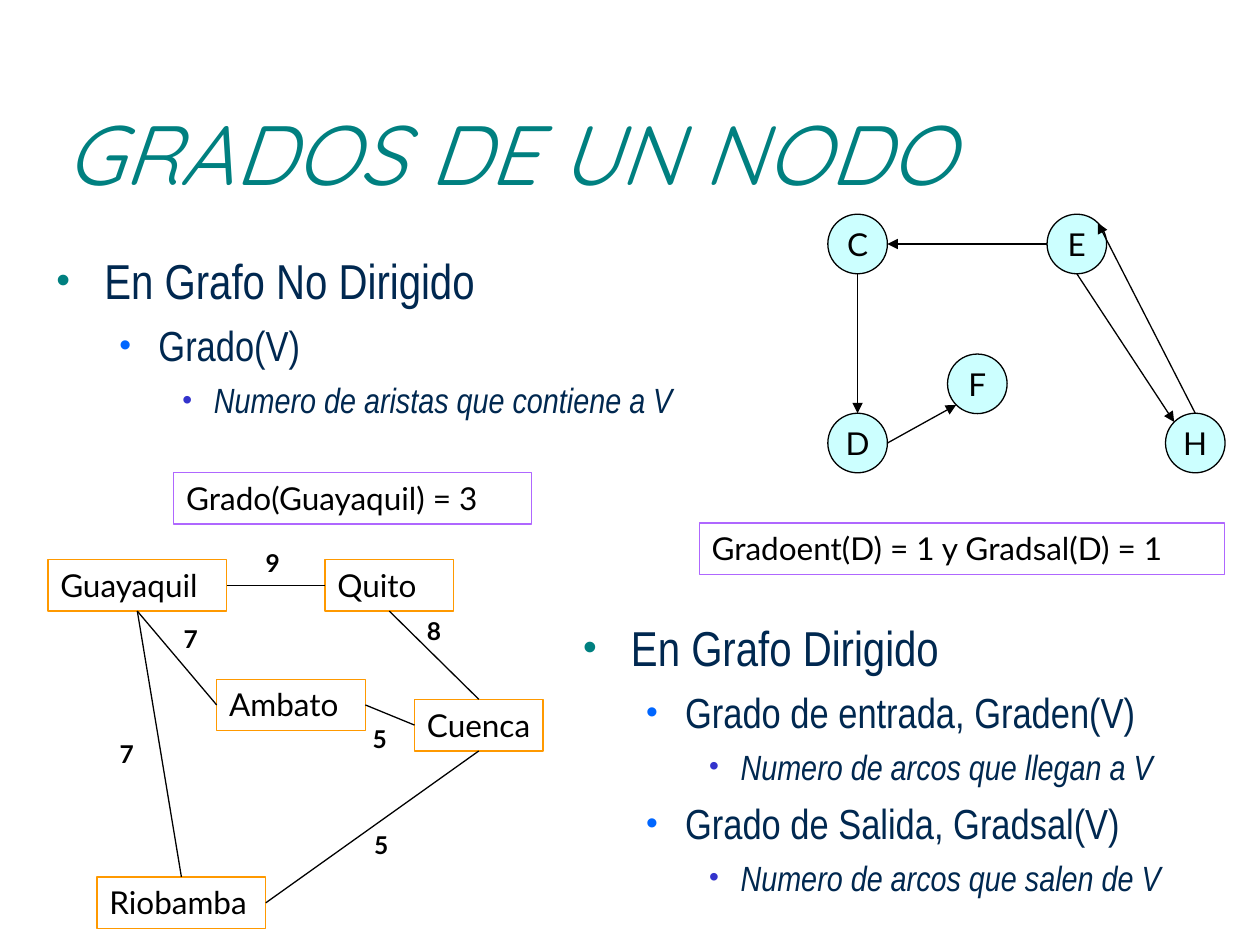
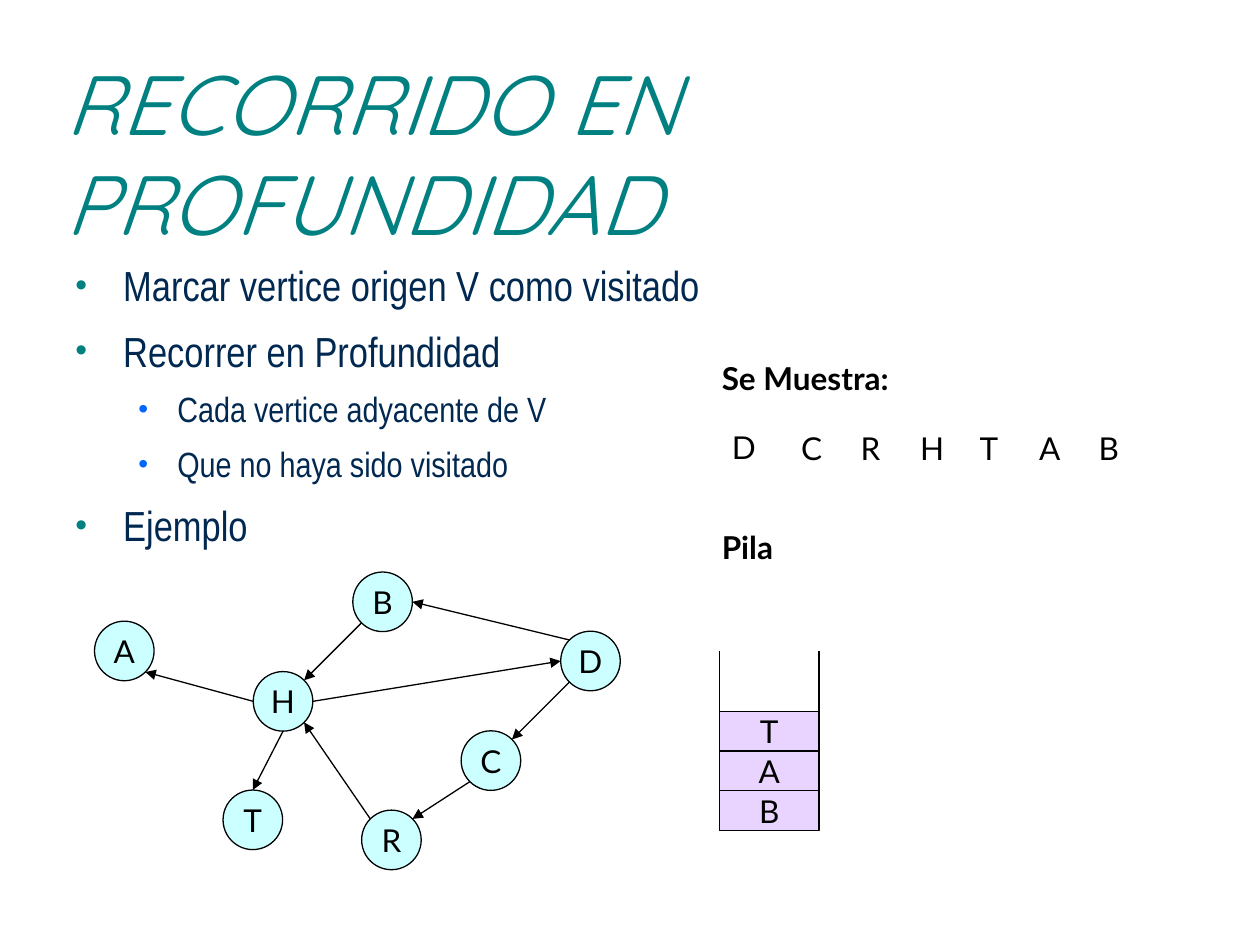
from lxml import etree
from pptx import Presentation
from pptx import util as u
from pptx.dml.color import RGBColor
from pptx.enum import shapes, text
from pptx.oxml.ns import qn

# Shared grid: 100 columns by 75 rows on a 10 x 7.5 inch slide
COLUMNS, ROWS = 100, 75
CELL = u.Inches(10) // COLUMNS
NODE_SIZE = 4.73

# Shared colours and fonts
TEAL = RGBColor(0x00, 0x80, 0x80)
NAVY = RGBColor(0x00, 0x28, 0x50)
BLUE = RGBColor(0x00, 0x66, 0xFF)
INDIGO = RGBColor(0x33, 0x33, 0xCC)
BLACK = RGBColor(0x00, 0x00, 0x00)
WHITE = RGBColor(0xFF, 0xFF, 0xFF)
CYAN = RGBColor(0xCC, 0xFF, 0xFF)
LILAC = RGBColor(0xE9, 0xD3, 0xFF)
ORANGE = RGBColor(0xFF, 0x99, 0x00)
PURPLE = RGBColor(0xAF, 0x67, 0xFF)
TITLE_FONT, BODY_FONT, LABEL_FONT = "Quicksand", "Arial Narrow", "Lato"

# Outline levels: bullet colour, left margin and hanging indent in inches
LEVELS = [(TEAL, 0.38, 0.38), (BLUE, 0.81, 0.31), (INDIGO, 1.25, 0.25)]

# Compass points on a shape's edge, as shares of its half width and height
DIAGONAL = 0.5 ** 0.5
SITES = {"N": (0, -1), "S": (0, 1), "W": (-1, 0), "E": (1, 0)}
SITES.update({v + h: (SITES[h][0] * DIAGONAL, SITES[v][1] * DIAGONAL)
              for v in "NS" for h in "WE"})


def cells(*values):
    return [round(value * CELL) for value in values]


def add_run(paragraph, words, size, font=LABEL_FONT, color=BLACK, bold=False, italic=False):
    run = paragraph.add_run()
    run.text = words
    run.font.size = u.Pt(size)
    run.font.name = font
    run.font.color.rgb = color
    run.font.bold = bold
    run.font.italic = italic


def add_text_box(slide, box):
    frame = slide.shapes.add_textbox(*cells(*box)).text_frame
    frame.word_wrap = True
    return frame


def add_title(slide, words):
    frame = add_text_box(slide, (4.2, 5.8, 90, 12.5))
    frame.vertical_anchor = text.MSO_ANCHOR.MIDDLE
    add_run(frame.paragraphs[0], words, 48, TITLE_FONT, TEAL, italic=True)


def add_label(slide, words, left, top, width=3.9, height=4, size=18, bold=False):
    frame = add_text_box(slide, (left, top, width, height))
    add_run(frame.paragraphs[0], words, size, bold=bold)


def set_bullet(paragraph, level):
    color, margin, hanging = LEVELS[level]
    properties = paragraph._p.get_or_add_pPr()
    properties.set("marL", str(u.Inches(margin)))
    properties.set("indent", str(-u.Inches(hanging)))
    bullet_color = etree.SubElement(properties, qn("a:buClr"))
    etree.SubElement(bullet_color, qn("a:srgbClr"), val=str(color))
    etree.SubElement(properties, qn("a:buSzPct"), val="80000")
    etree.SubElement(properties, qn("a:buFont"), typeface="Arial")
    etree.SubElement(properties, qn("a:buChar"), char="•")


def add_outline(slide, box, sizes, items, line_spacing=1.0):
    """Bulleted outline; the third level is italic."""
    frame = add_text_box(slide, box)
    for index, (level, words) in enumerate(items):
        paragraph = frame.add_paragraph() if index else frame.paragraphs[0]
        paragraph.level = level
        paragraph.line_spacing = line_spacing
        if index:
            paragraph.space_before = u.Pt(round(sizes[level] * 0.24, 1))
        set_bullet(paragraph, level)
        add_run(paragraph, words, sizes[level], BODY_FONT, NAVY, italic=level == 2)


def add_box(slide, kind, words, box, line, fill=None, centred=False):
    shape = slide.shapes.add_shape(kind, *cells(*box))
    shape.shadow.inherit = False
    if fill is None:
        shape.fill.background()
    else:
        shape.fill.solid()
        shape.fill.fore_color.rgb = fill
    shape.line.color.rgb = line
    shape.line.width = u.Pt(0.75)
    frame = shape.text_frame
    frame.word_wrap = not centred
    frame.vertical_anchor = text.MSO_ANCHOR.MIDDLE if centred else text.MSO_ANCHOR.TOP
    paragraph = frame.paragraphs[0]
    paragraph.alignment = text.PP_ALIGN.CENTER if centred else text.PP_ALIGN.LEFT
    add_run(paragraph, words, 18)
    return shape


def add_frame(slide, words, left, top, width, line, fill=None):
    return add_box(slide, shapes.MSO_SHAPE.RECTANGLE, words,
                   (left, top, width, 4.1), line, fill)


def add_line(slide, start, end, arrow=False):
    connector = slide.shapes.add_connector(shapes.MSO_CONNECTOR.STRAIGHT, *start, *end)
    connector.line.color.rgb = BLACK
    connector.line.width = u.Pt(0.75)
    if arrow:
        etree.SubElement(connector.line._get_or_add_ln(), qn("a:tailEnd"), type="triangle")
    etree.SubElement(connector._element.spPr, qn("a:effectLst"))


def site(shape, name):
    across, down = SITES[name]
    return (round(shape.left + shape.width * (1 + across) / 2),
            round(shape.top + shape.height * (1 + down) / 2))


def add_edges(slide, nodes, edges, arrow):
    for origin, leaving, target, arriving in edges:
        add_line(slide, site(nodes[origin], leaving), site(nodes[target], arriving), arrow)


def add_directed_graph(slide, places, edges):
    nodes = {name: add_box(slide, shapes.MSO_SHAPE.OVAL, name,
                           (left, top, NODE_SIZE, NODE_SIZE), BLACK, CYAN, centred=True)
             for name, (left, top) in places.items()}
    add_edges(slide, nodes, edges, arrow=True)


def add_city_graph(slide):
    cities = {name: add_frame(slide, name, *place, ORANGE, fill) for name, place, fill in [
        ("Guayaquil", (3.8, 44.4, 14.2), None),
        ("Quito", (25.8, 44.4, 10.2), None),
        ("Cuenca", (32.9, 55.5, 10.2), None),
        ("Ambato", (17.2, 53.9, 11.8), None),
        ("Riobamba", (7.7, 69.6, 13.4), WHITE)]}
    add_edges(slide, cities, [
        ("Guayaquil", "E", "Quito", "W"), ("Guayaquil", "S", "Riobamba", "N"),
        ("Guayaquil", "S", "Ambato", "W"), ("Ambato", "E", "Cuenca", "W"),
        ("Riobamba", "E", "Cuenca", "S"), ("Cuenca", "N", "Quito", "S")], arrow=False)
    for weight, left, top in [("5", 28.7, 65.4), ("5", 28.6, 57), ("7", 13.6, 49),
                              ("9", 20.1, 43), ("8", 32.9, 48.4), ("7", 8.5, 58.2)]:
        add_label(slide, weight, left, top, height=3.3, size=14, bold=True)


def add_stack(slide, letters, left, top, width, bottom, row):
    """Open-topped container, filled from the bottom up."""
    right = left + width
    corners = [cells(*corner) for corner in
               [(left, top), (left, bottom), (right, bottom), (right, top)]]
    for start, end in zip(corners, corners[1:]):
        add_line(slide, start, end)
    for index, letter in enumerate(letters, 1):
        add_box(slide, shapes.MSO_SHAPE.RECTANGLE, letter,
                (left, bottom - index * row, width, row), BLACK, LILAC, centred=True)


def build_degrees(slide):
    add_title(slide, "GRADOS DE UN NODO")
    sizes = (28, 24, 20)
    add_outline(slide, (3.5, 19.4, 60.7, 16.2), sizes, [
        (0, "En Grafo No Dirigido"),
        (1, "Grado(V)"),
        (2, "Numero de aristas que contiene a V")])
    add_outline(slide, (45.3, 48.5, 52.4, 20.5), sizes, [
        (0, "En Grafo Dirigido"),
        (1, "Grado de entrada, Graden(V)"),
        (2, "Numero de arcos que llegan a V"),
        (1, "Grado de Salida, Gradsal(V)"),
        (2, "Numero de arcos que salen de V")])
    add_directed_graph(
        slide,
        {"C": (65.7, 17), "E": (83.1, 17), "D": (65.7, 32.8), "F": (75.2, 28.1),
         "H": (92.5, 32.8)},
        [("E", "W", "C", "E"), ("C", "S", "D", "N"), ("D", "E", "F", "SW"),
         ("E", "S", "H", "NW"), ("H", "N", "E", "NE")])
    add_city_graph(slide)
    add_frame(slide, "Gradoent(D) = 1 y Gradsal(D) = 1", 55.5, 41.5, 41.7, PURPLE)
    add_frame(slide, "Grado(Guayaquil) = 3", 13.8, 37.5, 28.4, PURPLE)


def build_depth_first(slide):
    add_title(slide, "RECORRIDO EN PROFUNDIDAD")
    add_outline(slide, (5, 19.7, 90, 49.5), (24, 20), [
        (0, "Marcar vertice origen V como visitado"),
        (0, "Recorrer en Profundidad"),
        (1, "Cada vertice adyacente de V"),
        (1, "Que no haya sido visitado"),
        (0, "Ejemplo")], line_spacing=1.1)
    add_directed_graph(
        slide,
        {"A": (7.5, 49.3), "T": (17.7, 62.7), "H": (20.1, 53.3), "B": (28, 45.4),
         "D": (44.5, 50.1), "C": (36.6, 58), "R": (28.7, 64.3)},
        [("H", "W", "A", "SE"), ("H", "S", "T", "N"), ("R", "NW", "H", "SE"),
         ("C", "SW", "R", "NE"), ("H", "E", "D", "W"), ("B", "SW", "H", "NE"),
         ("D", "NW", "B", "E"), ("D", "SW", "C", "NE")])

    # Visiting order
    add_label(slide, "Se Muestra:", 56.3, 28, width=18.9, bold=True)
    add_label(slide, "D", 57.1, 33.5)
    for index, letter in enumerate("CRHTAB"):
        add_label(slide, letter, 62.6 + index * 4.72, 33.6)

    # Pending nodes
    add_label(slide, "Pila", 56.3, 41.4, width=14.2, bold=True)
    add_stack(slide, "BAT", left=57.1, top=51.7, width=7.9, bottom=65.9, row=3.15)


def main():
    presentation = Presentation()
    presentation.slide_width = COLUMNS * CELL
    presentation.slide_height = ROWS * CELL
    blank = presentation.slide_layouts[6]
    for build in (build_degrees, build_depth_first):
        build(presentation.slides.add_slide(blank))
    presentation.save("out.pptx")


if __name__ == "__main__":
    main()
